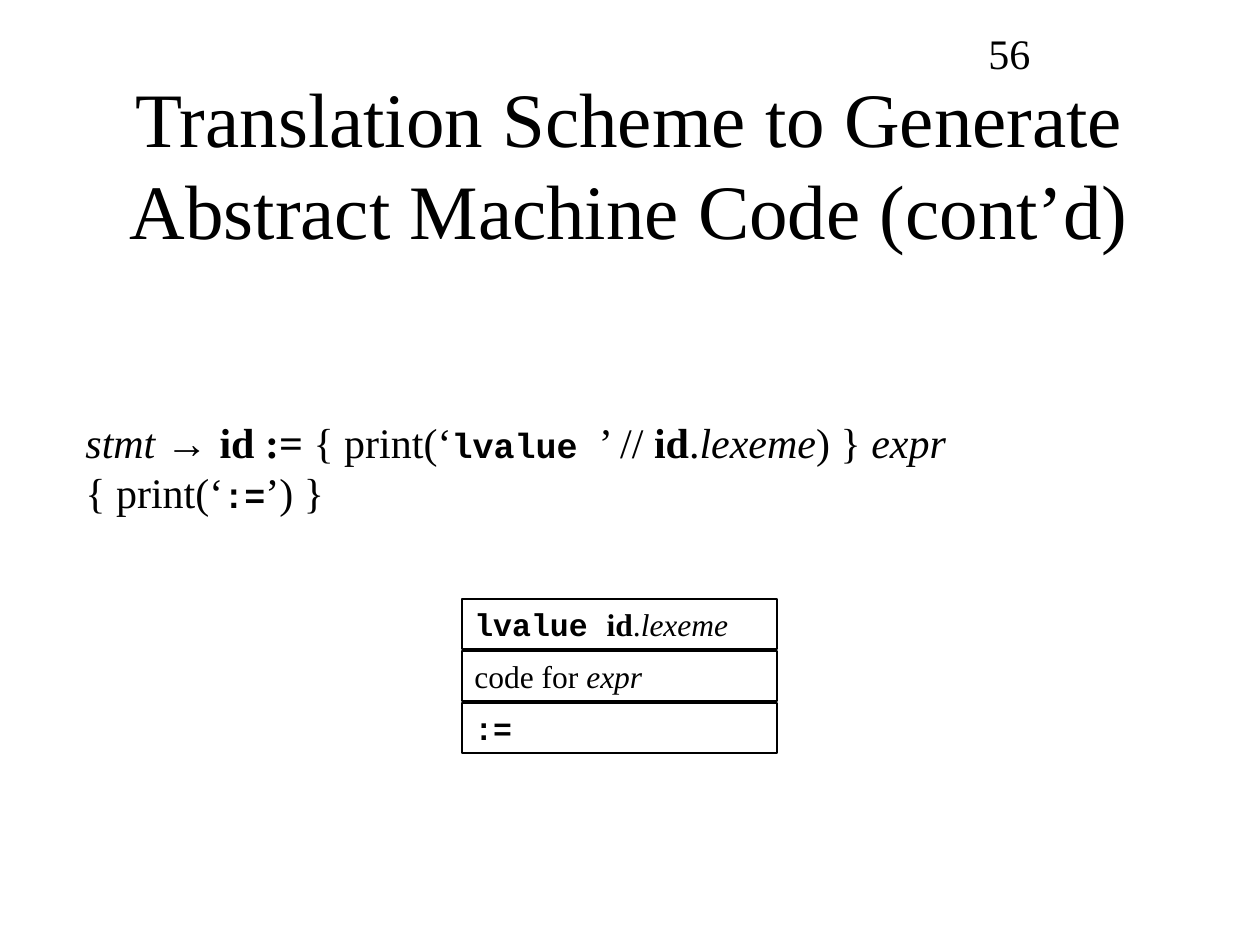
from dataclasses import dataclass

from pptx import Presentation
from pptx.dml.color import RGBColor
from pptx.enum.shapes import MSO_SHAPE as Shape
from pptx.enum.text import MSO_ANCHOR as Anchor, MSO_AUTO_SIZE as AutoSize, PP_ALIGN as Align
from pptx.util import Pt

EMU_PER_PX = 914400 / 126


@dataclass(frozen=True)
class Theme:
    ink: RGBColor = RGBColor(0, 0, 0)
    serif: str = "Times New Roman"
    mono: str = "Courier New"
    symbol: str = "Arial"
    title: int = 44
    body: int = 24
    body_code: int = 20
    box: int = 18
    line: float = 0.75


THEME = Theme()

# Run styles: p plain, b bold, i italic, c code, s symbol
STATEMENT = [
    ("stmt ", "i"), ("→ ", "s"), ("id := ", "b"), ("{ print(‘", "p"),
    ("lvalue ", "c"), ("’ // ", "p"), ("id", "b"), (".", "p"),
    ("lexeme", "i"), (") } ", "p"), ("expr", "i"), ("\n", "p"),
    ("{ print(‘", "p"), (":=", "c"), ("’) }", "p"),
]
CODE_BOXES = [
    [("lvalue ", "c"), ("id", "b"), (".", "b"), ("lexeme", "i")],
    [("code for ", "p"), ("expr", "i")],
    [(":=", "c")],
]
CODE_BOXES[0][2] = (".", "p")


def px(*lengths):
    return [round(n * EMU_PER_PX) for n in lengths]


def write(tf, runs, size, code_size=None, align=Align.LEFT, anchor=Anchor.TOP):
    tf.word_wrap = True
    tf.auto_size = AutoSize.NONE
    tf.vertical_anchor = anchor
    p = tf.paragraphs[0]
    p.alignment = align
    p.font.size = Pt(size)
    p.font.name = THEME.serif
    p.font.color.rgb = THEME.ink
    for text, style in runs:
        if text == "\n":
            p.add_line_break()
            continue
        r = p.add_run()
        r.text = text
        font = r.font
        font.size = Pt(code_size if style == "c" and code_size else size)
        font.name = {"c": THEME.mono, "s": THEME.symbol}.get(style, THEME.serif)
        font.bold = style in "bc"
        font.italic = style == "i"
        font.color.rgb = THEME.ink


def add_title(slide, text, box):
    sp = slide.shapes.title
    sp.left, sp.top, sp.width, sp.height = px(*box)
    write(sp.text_frame, [(text, "p")], THEME.title, align=Align.CENTER, anchor=Anchor.MIDDLE)


def add_text(slide, runs, box):
    sp = slide.shapes.add_textbox(*px(*box))
    write(sp.text_frame, runs, THEME.body, THEME.body_code)


def add_code_box(slide, runs, box):
    sp = slide.shapes.add_shape(Shape.RECTANGLE, *px(*box))
    sp.shadow.inherit = False
    sp.fill.background()
    sp.line.color.rgb = THEME.ink
    sp.line.width = Pt(THEME.line)
    write(sp.text_frame, runs, THEME.box)


def main():
    prs = Presentation()
    prs.slide_width, prs.slide_height = px(1260, 945)
    slide = prs.slides.add_slide(prs.slide_layouts[5])

    # Heading and page number
    add_title(slide, "Translation Scheme to Generate Abstract Machine Code (cont’d)",
              (94, 84, 1071, 158))
    add_text(slide, [("56", "p")], (976, 21, 262, 62))

    # Translation rule
    add_text(slide, STATEMENT, (73, 410, 1129, 63))

    # Generated code, stacked in order
    for row, runs in enumerate(CODE_BOXES):
        add_code_box(slide, runs, (462, 599 + 52 * row, 315, 50))

    prs.save("out.pptx")


if __name__ == "__main__":
    main()
